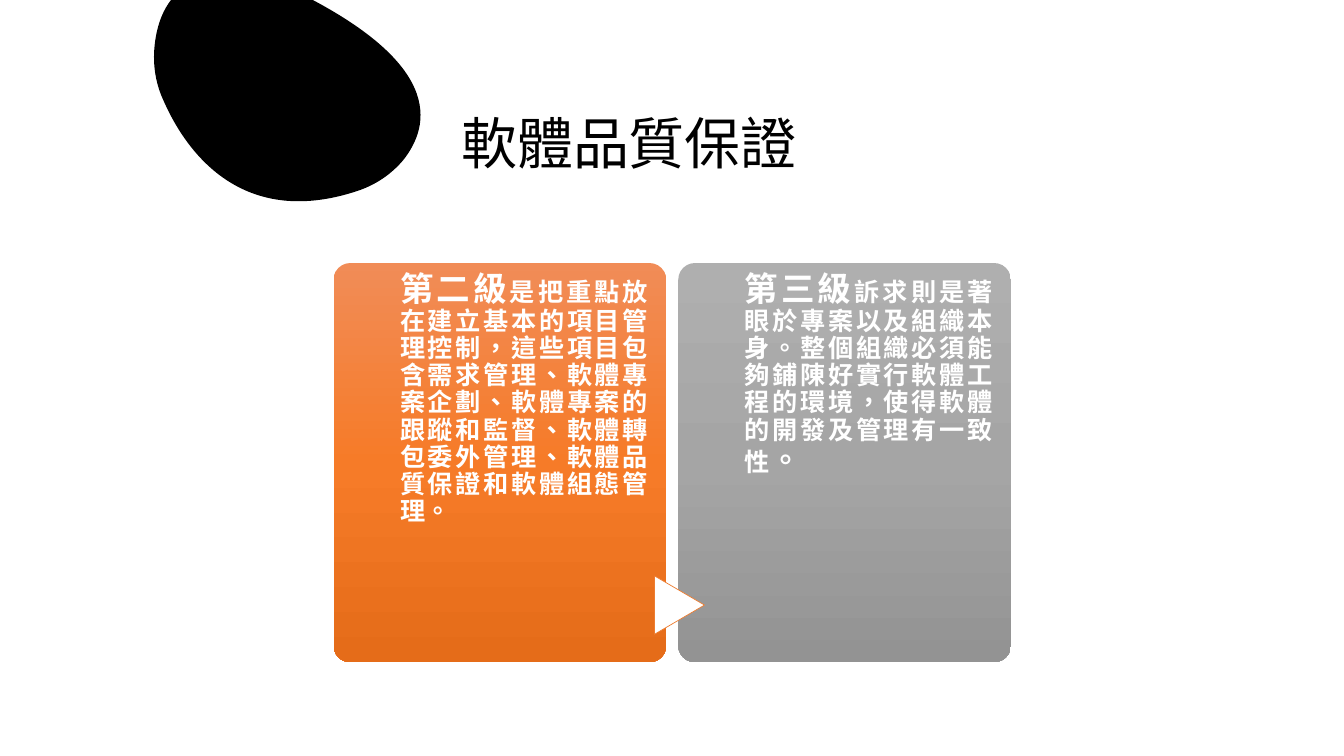
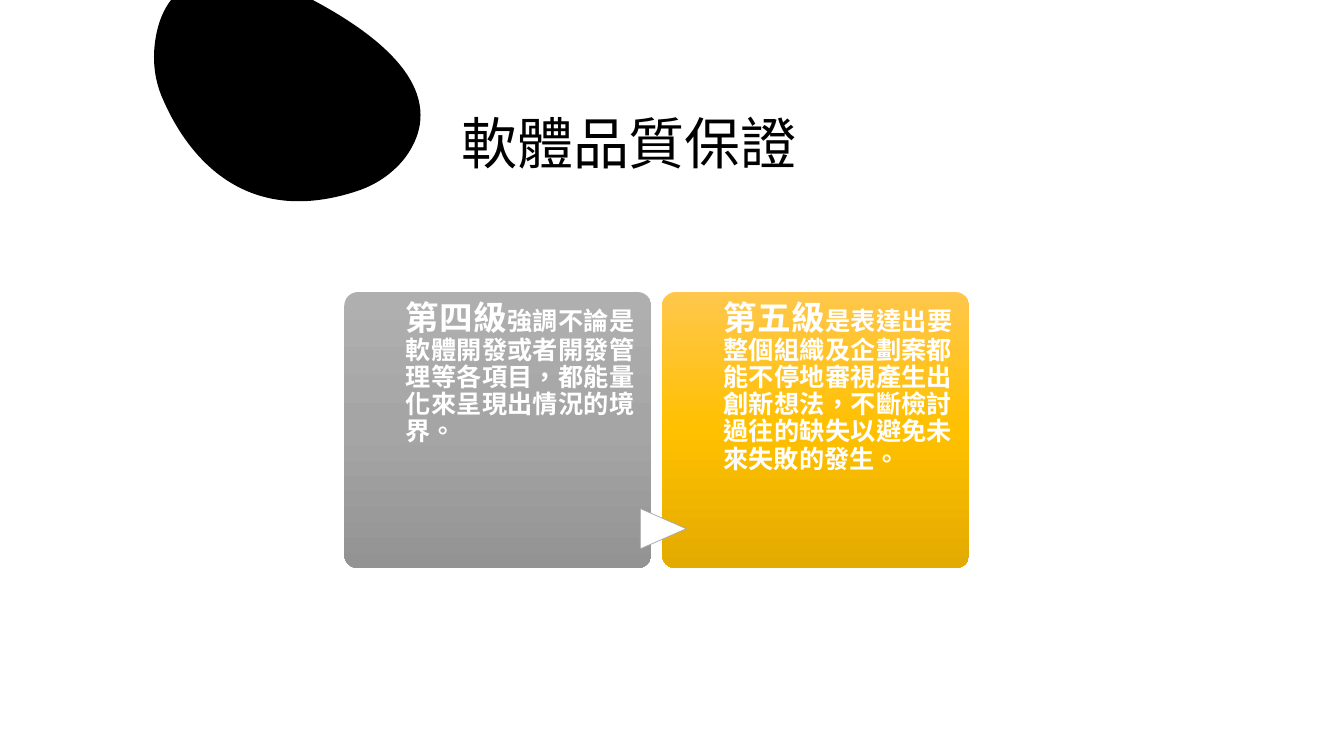
import math

import lxml.etree
import pptx
import pptx.dml.color
import pptx.enum.shapes
import pptx.enum.text
import pptx.oxml.ns
import pptx.util

Pt = pptx.util.Pt
RGBColor = pptx.dml.color.RGBColor
SHAPE = pptx.enum.shapes.MSO_SHAPE
ALIGN = pptx.enum.text.PP_ALIGN
ANCHOR = pptx.enum.text.MSO_ANCHOR
qn = pptx.oxml.ns.qn

FONT = "Noto Sans CJK SC"
LANGUAGE = "zh-TW"
BLACK = RGBColor(0x00, 0x00, 0x00)
WHITE = RGBColor(0xFF, 0xFF, 0xFF)
ORANGE_LINE = RGBColor(0xED, 0x7D, 0x31)
GRAY_LINE = RGBColor(0xA5, 0xA5, 0xA5)
ORANGE = (RGBColor(0xF1, 0x8C, 0x57), RGBColor(0xF6, 0x7B, 0x28), RGBColor(0xE5, 0x6C, 0x19))
GRAY = (RGBColor(0xAF, 0xAF, 0xAF), RGBColor(0xA5, 0xA5, 0xA5), RGBColor(0x93, 0x93, 0x93))
GOLD = (RGBColor(0xFF, 0xC7, 0x4C), RGBColor(0xFF, 0xC0, 0x00), RGBColor(0xE3, 0xAB, 0x00))

TITLE = "軟體品質保證"
BLOB_LEFT, BLOB_TOP, BLOB_WIDTH, BLOB_HEIGHT = 121, -35.3, 159.8, 190.1
BLOB_ROTATION = 328.8
BLOB_START = (175, -18.7)
BLOB_CURVES = [
    ((151.9, -20.2), (113.8, -15.8), (110.2, 36)),
    ((109.4, 48.2), (111.6, 60.5), (116.6, 71.3)),
    ((130.3, 103), (169.2, 165.6), (256.3, 136.1)),
    ((268.6, 131.8), (279.4, 124.6), (288, 114.5)),
    ((307.4, 90), (319.7, 43.9), (200.2, -11.5)),
    ((191.5, -15.1), (183.6, -18), BLOB_START),
]

PAGES = [
    {
        "left": 238.3, "top": 187.9, "width": 237.6, "height": 285.1, "pitch": 246.2,
        "arrow_line": ORANGE_LINE,
        "cards": [
            (ORANGE, [
                ("第二級", 24),
                ("是把重點放在建立基本的項目管理控制，這些項目包含需求管理、軟體專案企劃、"
                 "軟體專案的跟蹤和監督、軟體轉包委外管理、軟體品質保證和軟體組態管理。", 18),
            ]),
            (GRAY, [
                ("第三級", 24),
                ("訴求則是著眼於專案以及組織本身。整個組織必須能夠鋪陳好實行軟體工程的環境，"
                 "使得軟體的開發及管理有一致性", 18),
                ("。", 22),
            ]),
        ],
    },
    {
        "left": 245.9, "top": 208.6, "width": 219.4, "height": 197.3, "pitch": 227,
        "arrow_line": GRAY_LINE,
        "cards": [
            (GRAY, [
                ("第四級", 24),
                ("強調不論是軟體開發或者開發管理等各項目，都能量化來呈現出情況的境界。", 18),
            ]),
            (GOLD, [
                ("第五級", 24),
                ("是表達出要整個組織及企劃案都能不停地審視產生出創新想法，"
                 "不斷檢討過往的缺失以避免未來失敗的發生。", 18),
            ]),
        ],
    },
]


def add_span(para, text, size, color, bold):
    span = para.add_run()
    span.text = text
    span.font.size = Pt(size)
    span.font.bold = bold
    span.font.color.rgb = color
    span.font.name = FONT
    latin = para._p.findall(".//" + qn("a:latin"))[-1]
    latin.addnext(lxml.etree.Element(qn("a:ea"), typeface=FONT))
    latin.getparent().set("lang", LANGUAGE)


def fill_gradient(shape, colors):
    shape.fill.gradient()
    shape.fill.gradient_angle = 270
    stops = shape.element.spPr.find(".//" + qn("a:gsLst"))
    for stop in list(stops):
        stops.remove(stop)
    for position, color in zip((0, 50000, 100000), colors):
        stop = lxml.etree.SubElement(stops, qn("a:gs"), pos=str(position))
        lxml.etree.SubElement(stop, qn("a:srgbClr"), val=str(color))


deck = pptx.Presentation()
deck.slide_width = Pt(960)
deck.slide_height = Pt(540)

layout = deck.slide_layouts[5]
title_frame = layout.placeholders[0]
title_frame.left, title_frame.top = Pt(322.2), Pt(18.8)
title_frame.width, title_frame.height = Pt(594.7), Pt(110.9)
title_frame.text_frame.vertical_anchor = ANCHOR.BOTTOM

pages = [deck.slides.add_slide(layout) for plan in PAGES]

right, bottom = BLOB_LEFT + BLOB_WIDTH, BLOB_TOP + BLOB_HEIGHT
builder = pages[0].shapes.build_freeform(Pt(BLOB_LEFT), Pt(BLOB_TOP))
builder.add_line_segments(
    [(Pt(right), Pt(BLOB_TOP)), (Pt(right), Pt(bottom)), (Pt(BLOB_LEFT), Pt(bottom))])
blob = builder.convert_to_shape()
blob.rotation = BLOB_ROTATION
blob.shadow.inherit = False
blob.fill.solid()
blob.fill.fore_color.rgb = BLACK
blob.line.fill.background()

outline = blob.element.spPr.find(".//" + qn("a:path"))
for segment in list(outline):
    outline.remove(segment)
turn = math.radians(-BLOB_ROTATION)
middle_x, middle_y = BLOB_LEFT + BLOB_WIDTH / 2, BLOB_TOP + BLOB_HEIGHT / 2
for tag, points in [("a:moveTo", [BLOB_START])] + [("a:cubicBezTo", c) for c in BLOB_CURVES]:
    segment = lxml.etree.SubElement(outline, qn(tag))
    for x, y in points:
        across, down = x - middle_x, y - middle_y
        local_x = across * math.cos(turn) - down * math.sin(turn) + BLOB_WIDTH / 2
        local_y = across * math.sin(turn) + down * math.cos(turn) + BLOB_HEIGHT / 2
        lxml.etree.SubElement(
            segment, qn("a:pt"), x=str(int(Pt(local_x))), y=str(int(Pt(local_y))))
lxml.etree.SubElement(outline, qn("a:close"))
layout.shapes.element.append(blob.element)

for page, plan in zip(pages, PAGES):
    para = page.shapes.title.text_frame.paragraphs[0]
    para.alignment = ALIGN.LEFT
    para.line_spacing = 0.9
    add_span(para, TITLE, 40, BLACK, False)

    top, width, height = plan["top"], plan["width"], plan["height"]
    for index, (colors, spans) in enumerate(plan["cards"]):
        left = plan["left"] + index * plan["pitch"]
        card = page.shapes.add_shape(
            SHAPE.ROUNDED_RECTANGLE, Pt(left), Pt(top), Pt(width), Pt(height))
        card.adjustments[0] = 0.05
        card.shadow.inherit = False
        card.line.fill.background()
        fill_gradient(card, colors)

        box = page.shapes.add_textbox(
            Pt(left + 0.2 * width), Pt(top), Pt(0.745 * width), Pt(height))
        frame = box.text_frame
        frame.word_wrap = True
        frame.margin_left = frame.margin_right = frame.margin_bottom = Pt(0)
        frame.margin_top = Pt(6.5)
        para = frame.paragraphs[0]
        para.alignment = ALIGN.JUSTIFY
        para.line_spacing = 0.9
        for text, size in spans:
            add_span(para, text, size, WHITE, True)

    arrow_width, arrow_height = 0.146 * height, 0.15 * width
    center_x = plan["left"] + plan["pitch"] + 0.9
    center_y = top + 0.857 * height
    arrow = page.shapes.add_shape(
        SHAPE.FLOWCHART_EXTRACT,
        Pt(center_x - arrow_width / 2), Pt(center_y - arrow_height / 2),
        Pt(arrow_width), Pt(arrow_height))
    arrow.rotation = 90
    arrow.shadow.inherit = False
    arrow.fill.solid()
    arrow.fill.fore_color.rgb = WHITE
    arrow.line.color.rgb = plan["arrow_line"]
    arrow.line.width = Pt(0.5)

deck.save("out.pptx")
